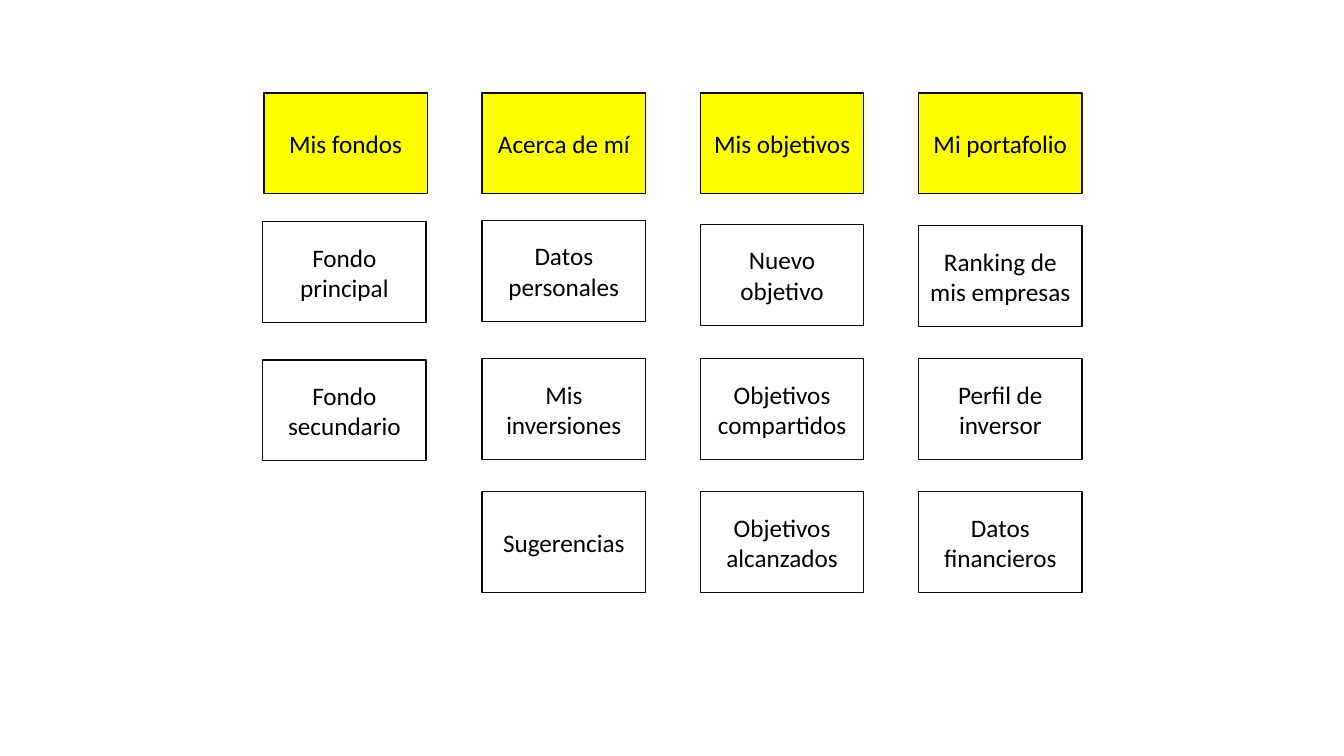
from dataclasses import dataclass

from pptx import Presentation
from pptx.dml.color import RGBColor
from pptx.enum.shapes import MSO_SHAPE
from pptx.enum.text import MSO_ANCHOR, PP_ALIGN
from pptx.util import Cm, Pt

COLORS = {"header": "FFFF00", "line": "0D0D0D", "text": "000000"}
LEFT, TOP = 6.65, 2.34
COL_STEP, ROW_STEP = 5.5, 3.35
CARD_W, CARD_H = 4.12, 2.54


@dataclass(frozen=True)
class Card:
    text: str
    dx: float = 0
    dy: float = 0


COLUMNS = [
    [Card("Mis fondos"), Card("Fondo principal", -0.03, -0.1),
     Card("Fondo secundario", -0.03, 0.03)],
    [Card("Acerca de mí"), Card("Datos personales", dy=-0.13),
     Card("Mis inversiones"), Card("Sugerencias")],
    [Card("Mis objetivos"), Card("Nuevo objetivo", dy=-0.03),
     Card("Objetivos compartidos"), Card("Objetivos alcanzados")],
    [Card("Mi portafolio"), Card("Ranking de mis empresas"),
     Card("Perfil de inversor"), Card("Datos financieros")],
]


def rgb(name: str) -> RGBColor:
    return RGBColor.from_string(COLORS[name])


def write(tf, text: str, *, size: float = 18, font: str = "Calibri",
          color: str = "text", align=PP_ALIGN.CENTER,
          anchor=MSO_ANCHOR.MIDDLE) -> None:
    tf.word_wrap = True
    tf.vertical_anchor = anchor
    p = tf.paragraphs[0]
    p.alignment = align
    r = p.add_run()
    r.text = text
    r.font.size = Pt(size)
    r.font.name = font
    r.font.color.rgb = rgb(color)


def draw_card(s, card: Card, col: int, row: int) -> None:
    sp = s.shapes.add_shape(
        MSO_SHAPE.RECTANGLE,
        Cm(LEFT + col * COL_STEP + card.dx),
        Cm(TOP + row * ROW_STEP + card.dy),
        Cm(CARD_W), Cm(CARD_H))
    sp.shadow.inherit = False
    if row == 0:
        sp.fill.solid()
        sp.fill.fore_color.rgb = rgb("header")
    else:
        sp.fill.background()
    sp.line.color.rgb = rgb("line")
    sp.line.width = Pt(1)
    write(sp.text_frame, card.text)


def main() -> None:
    prs = Presentation()
    prs.slide_width, prs.slide_height = Cm(33.87), Cm(19.05)
    s = prs.slides.add_slide(prs.slide_layouts[6])
    for col, cards in enumerate(COLUMNS):
        for row, card in enumerate(cards):
            draw_card(s, card, col, row)
    prs.save("out.pptx")


main()
